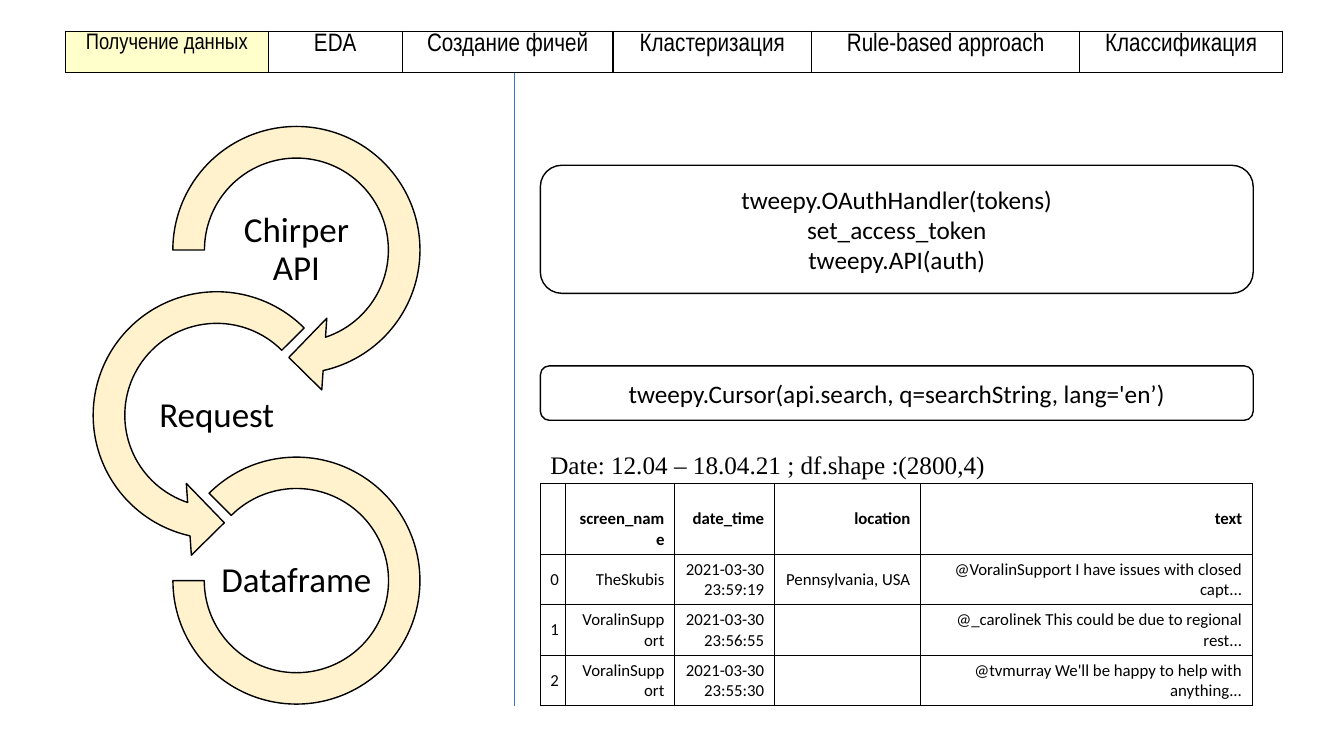
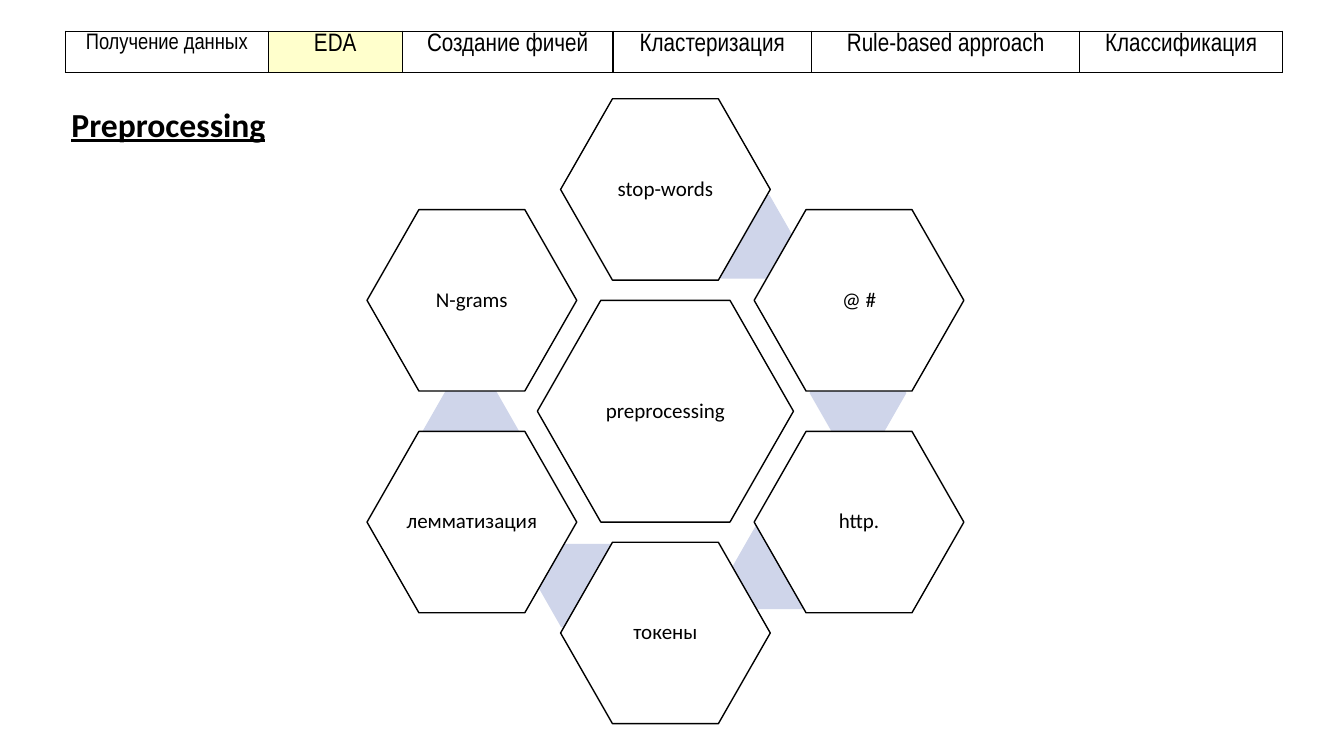
from lxml.etree import SubElement
from pptx import Presentation
from pptx.dml.color import RGBColor
from pptx.enum.shapes import MSO_CONNECTOR, MSO_SHAPE
from pptx.enum.text import MSO_ANCHOR, PP_ALIGN
from pptx.oxml import parse_xml
from pptx.oxml.ns import nsdecls, qn
from pptx.util import Inches, Pt

# Shared look
BLACK = RGBColor(0x00, 0x00, 0x00)
WHITE = RGBColor(0xFF, 0xFF, 0xFF)
ACTIVE = RGBColor(0xFF, 0xFF, 0xCC)
CREAM = RGBColor(0xFF, 0xF2, 0xCC)
BLUE = RGBColor(0x44, 0x72, 0xC4)
PALE_BLUE = RGBColor(0xCF, 0xD5, 0xEA)
BODY_FONT = "Calibri"
NAV_FONT = "Arial Narrow"
DATE_FONT = "Times New Roman"

# Content: navigation band (label, width, text size)
STAGES = [
    ("Получение данных", 2.01, 16),
    ("EDA", 1.33, 18),
    ("Создание фичей", 2.09, 18),
    ("Кластеризация", 1.97, 18),
    ("Rule-based approach", 2.66, 18),
    ("Классификация", 2.01, 18),
]

# Content: data collection (label, shape, diameter, adjustments)
STEPS = [
    ("Chirper API", MSO_SHAPE.CIRCULAR_ARROW, 2.85, (0.11, 11.42, 45, 108, 0.125)),
    ("Request", MSO_SHAPE.LEFT_CIRCULAR_ARROW, 2.85, (0.11, 11.42, 63, 189, 0.125)),
    ("Dataframe", MSO_SHAPE.BLOCK_ARC, 2.45, (135, 108, 0.127)),
]
STEP_CENTRES_X = (2.94, 2.15)
STEP_TOP, STEP_PITCH = 2.48, 1.64
PANEL_LEFT, PANEL_WIDTH = 5.36, 7.07
CODE_BOXES = [  # top, height, lines
    (1.64, 1.27, ["tweepy.OAuthHandler(tokens)", "set_access_token", "tweepy.API(auth)"]),
    (3.63, 0.54, ["tweepy.Cursor(api.search, q=searchString, lang='en’)"]),
]
DATE_LINE = "Date: 12.04 – 18.04.21 ; df.shape :(2800,4)"
TWEET_COLUMNS = (0.25, 1.08, 0.99, 1.45, 3.29)
TWEET_ROWS = (0.7, 0.5, 0.5, 0.5)
TWEETS = [
    ("", "screen_name", "date_time", "location", "text"),
    ("0", "TheSkubis", "2021-03-30 23:59:19", "Pennsylvania, USA",
     "@VoralinSupport I have issues with closed capt..."),
    ("1", "VoralinSupport", "2021-03-30 23:56:55", "",
     "@_carolinek This could be due to regional rest..."),
    ("2", "VoralinSupport", "2021-03-30 23:55:30", "",
     "@tvmurray We'll be happy to help with anything..."),
]

# Content: preprocessing ring (label, column, row offset from the hub)
HUB = (6.6, 4.08)
RING_X = 1.92
RING = [
    ("stop-words", 0, -2.2),
    ("@ #", 1, -1.1),
    ("http.", 1, 1.1),
    ("токены", 0, 2.2),
    ("лемматизация", -1, 1.1),
    ("N-grams", -1, -1.1),
]
HUB_SIZE, RING_SIZE, LINK_SIZE = (2.54, 2.2), (2.08, 1.8), (0.96, 0.83)
LINK_CENTRES = [(7.39, 2.35), (8.51, 3.9), (7.74, 5.63), (5.81, 5.81), (4.67, 4.28)]


def write(frame, lines, size, font=BODY_FONT, align=PP_ALIGN.CENTER,
          bold=False, underline=False, spacing=None):
    for index, line in enumerate(lines):
        para = frame.paragraphs[0] if index == 0 else frame.add_paragraph()
        para.alignment = align
        if spacing:
            para.line_spacing = spacing
        span = para.add_run()
        span.text = line
        span.font.size = Pt(size)
        span.font.name = font
        span.font.color.rgb = BLACK
        span.font.bold = bold
        span.font.underline = underline


def add_box(page, left, top, width, height, wrap=True):
    box = page.shapes.add_textbox(Inches(left), Inches(top), Inches(width), Inches(height))
    box.text_frame.word_wrap = wrap
    return box.text_frame


def add_figure(page, kind, left, top, width, height, fill, outlined=True, adjust=()):
    figure = page.shapes.add_shape(kind, Inches(left), Inches(top), Inches(width), Inches(height))
    figure.shadow.inherit = False
    figure.fill.solid()
    figure.fill.fore_color.rgb = fill
    if outlined:
        figure.line.color.rgb = BLACK
        figure.line.width = Pt(1)
    else:
        figure.line.fill.background()
    for index, value in enumerate(adjust):
        figure.adjustments[index] = value
    figure.text_frame.vertical_anchor = MSO_ANCHOR.MIDDLE
    return figure


def style_cell(cell, fill):
    cell.fill.solid()
    cell.fill.fore_color.rgb = fill
    properties = cell._tc.get_or_add_tcPr()
    for index, side in enumerate(("lnL", "lnR", "lnT", "lnB")):
        properties.insert(index, parse_xml(
            f'<a:{side} {nsdecls("a")} w="12700"><a:solidFill>'
            f'<a:srgbClr val="{BLACK}"/></a:solidFill></a:{side}>'))


def add_grid(page, left, top, columns, rows):
    table = page.shapes.add_table(
        len(rows), len(columns), Inches(left), Inches(top),
        Inches(sum(columns)), Inches(sum(rows))).table
    table.first_row = table.horz_banding = False
    for column, width in zip(table.columns, columns):
        column.width = Inches(width)
    for row, height in zip(table.rows, rows):
        row.height = Inches(height)
    return table


def add_navigation(page, active):
    table = add_grid(page, 0.65, 0.31, [width for _, width, _ in STAGES], [0.41])
    for index, (label, _, size) in enumerate(STAGES):
        cell = table.cell(0, index)
        style_cell(cell, ACTIVE if index == active else WHITE)
        cell.margin_top = cell.margin_bottom = Inches(0.02)
        write(cell.text_frame, [label], size, NAV_FONT)


def add_tweets(page):
    table = add_grid(page, PANEL_LEFT, 4.8, TWEET_COLUMNS, TWEET_ROWS)
    for r, record in enumerate(TWEETS):
        for c, value in enumerate(record):
            cell = table.cell(r, c)
            style_cell(cell, WHITE)
            cell.vertical_anchor = MSO_ANCHOR.MIDDLE
            if value:
                write(cell.text_frame, [value], 12, align=PP_ALIGN.RIGHT, bold=r == 0)
    # The wrapped heading starts one line lower
    table.cell(0, 1).margin_top = Inches(0.25)


def add_hexagon(page, centre, size, fill, label=None):
    (x, y), (width, height) = centre, size
    hexagon = add_figure(page, MSO_SHAPE.HEXAGON, x - width / 2, y - height / 2,
                         width, height, fill, bool(label), (0.286, 1.1547))
    if label:
        hexagon.text_frame.word_wrap = False
        write(hexagon.text_frame, [label], 15, spacing=0.9)


def build_collection(page):
    # Divider
    divider = page.shapes.add_connector(
        MSO_CONNECTOR.STRAIGHT, Inches(5.1), Inches(0.5), Inches(5.1), Inches(7))
    divider.line.color.rgb = BLUE
    divider.line.width = Pt(0.5)
    SubElement(divider._element.spPr, qn("a:effectLst"))

    # Chain of circular steps
    for index, (label, kind, size, adjust) in enumerate(STEPS):
        x, y = STEP_CENTRES_X[index % 2], STEP_TOP + index * STEP_PITCH
        add_figure(page, kind, x - size / 2, y - size / 2, size, size, CREAM, adjust=adjust)
        frame = add_box(page, x - 0.79, y - 0.39, 1.58, 0.79)
        frame.vertical_anchor = MSO_ANCHOR.MIDDLE
        frame.margin_left = frame.margin_right = Inches(0.02)
        write(frame, [label], 25, spacing=0.9)

    # Code boxes
    for top, height, lines in CODE_BOXES:
        box = add_figure(page, MSO_SHAPE.ROUNDED_RECTANGLE, PANEL_LEFT, top,
                         PANEL_WIDTH, height, WHITE)
        write(box.text_frame, lines, 18)

    # Resulting data
    add_tweets(page)
    write(add_box(page, PANEL_LEFT, 4.41, 7.37, 0.4), [DATE_LINE], 18, DATE_FONT, PP_ALIGN.LEFT)


def build_preprocessing(page):
    for centre in LINK_CENTRES:
        add_hexagon(page, centre, LINK_SIZE, PALE_BLUE)
    add_hexagon(page, HUB, HUB_SIZE, WHITE, "preprocessing")
    for label, column, offset in RING:
        add_hexagon(page, (HUB[0] + column * RING_X, HUB[1] + offset), RING_SIZE, WHITE, label)
    write(add_box(page, 0.61, 0.98, 2.69, 0.5), ["Preprocessing"], 24,
          align=PP_ALIGN.LEFT, bold=True, underline=True)


def main():
    deck = Presentation()
    deck.slide_width, deck.slide_height = Inches(13.33), Inches(7.5)
    for active, build in enumerate((build_collection, build_preprocessing)):
        page = deck.slides.add_slide(deck.slide_layouts[6])
        build(page)
        add_navigation(page, active)
    deck.save("out.pptx")


if __name__ == "__main__":
    main()
